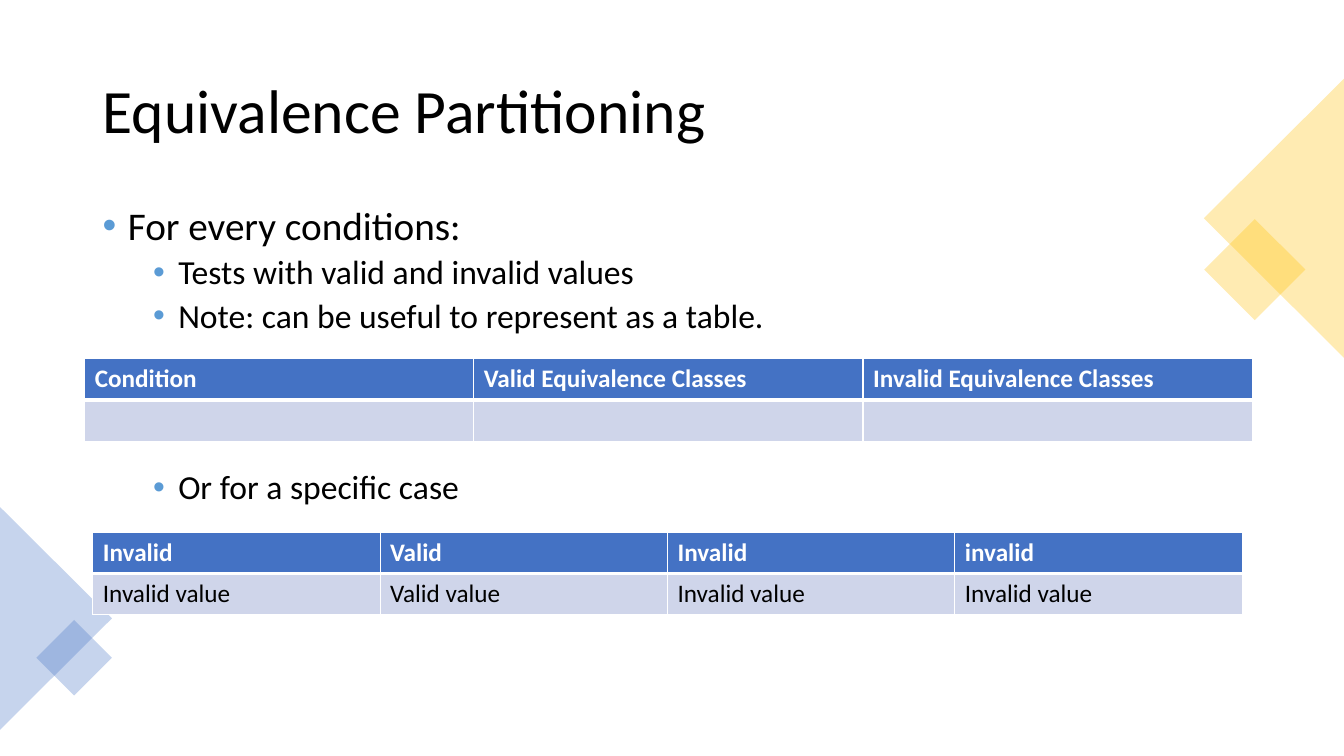
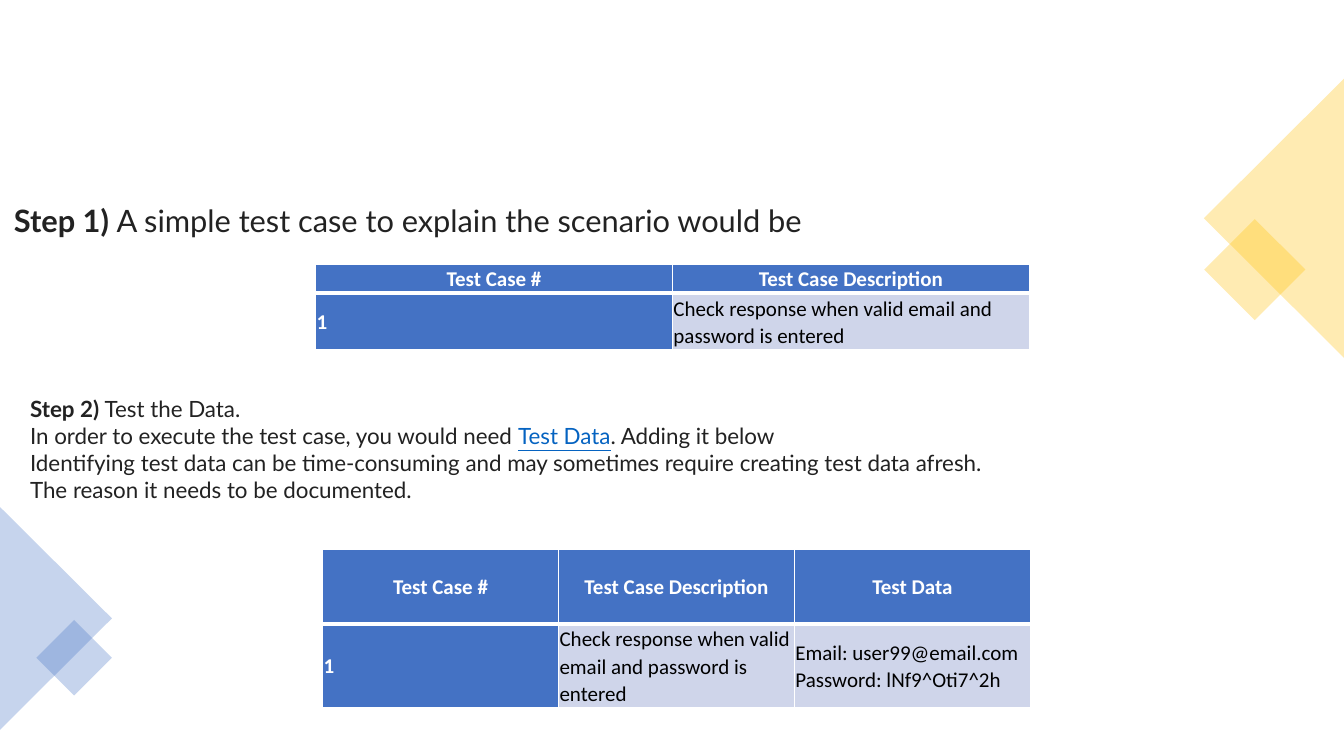
from lxml.etree import SubElement
from pptx import Presentation
from pptx.dml.color import RGBColor
from pptx.enum.shapes import MSO_SHAPE as Shape
from pptx.enum.text import MSO_ANCHOR as Anchor, PP_ALIGN as Align
from pptx.oxml import parse_xml
from pptx.oxml.ns import nsdecls, qn
from pptx.util import Emu, Pt

SCALE = 9144
BLUE, GOLD, PALE, BULLET = "4472C4", "FFC000", "CFD5EA", "5B9BD5"
BLACK, WHITE, INK, LINK = "000000", "FFFFFF", "222222", "0563C1"


def px(length):
    return Emu(length * SCALE)


def color(value):
    return RGBColor.from_string(value)


def apply(target, values):
    for name, value in values.items():
        setattr(target, name, value)


class Deck:
    TITLE = {"name": "Calibri", "size": Pt(44)}
    BULLETS = [
        {"left": 25, "before": Pt(10), "font": {"name": "Calibri", "size": Pt(28)}},
        {"left": 75, "before": Pt(5), "font": {"name": "Calibri", "size": Pt(24)}},
    ]
    DECORATIONS = [
        (Shape.RECTANGLE, (1209, 232, 71, 71), 45, GOLD),
        (Shape.ISOSCELES_TRIANGLE, (1125, 147, 277, 139), 270, GOLD),
        (Shape.ISOSCELES_TRIANGLE, (-55, 558, 221, 111), 90, BLUE),
        (Shape.RECTANGLE, (47, 626, 53, 53), 45, BLUE),
    ]

    def __init__(self):
        self.presentation = Presentation()
        apply(self.presentation, {"slide_width": px(1333), "slide_height": px(750)})
        self.slide = None

    def add_slide(self):
        self.slide = self.presentation.slides.add_slide(self.presentation.slide_layouts[6])
        for kind, frame, rotation, fill in self.DECORATIONS:
            self.decoration(kind, frame, rotation, fill)

    def decoration(self, kind, frame, rotation, fill):
        shape = self.slide.shapes.add_shape(kind, *map(px, frame))
        shape.rotation = rotation
        shape.shadow.inherit = False
        shape.line.fill.background()
        shape.fill.solid()
        shape.fill.fore_color.rgb = color(fill)
        rgb = shape.fill._xPr.find(".//" + qn("a:srgbClr"))
        SubElement(rgb, qn("a:alpha"), val="30000")

    def text_frame(self, frame, anchor=Anchor.TOP):
        text_frame = self.slide.shapes.add_textbox(*map(px, frame)).text_frame
        apply(text_frame, {"word_wrap": True, "vertical_anchor": anchor})
        return text_frame

    def paragraphs(self, text_frame, items):
        for index, item in enumerate(items):
            yield index, text_frame.add_paragraph() if index else text_frame.paragraphs[0], item

    def run(self, paragraph, text, font, fill):
        run = paragraph.add_run()
        run.text = text
        apply(run.font, font)
        run.font.color.rgb = color(fill)

    def title(self, text):
        paragraph = self.text_frame((92, 40, 1150, 145), Anchor.MIDDLE).paragraphs[0]
        paragraph.line_spacing = 0.9
        self.run(paragraph, text, self.TITLE, BLACK)

    def bullets(self, frame, items):
        for index, paragraph, (level, text) in self.paragraphs(self.text_frame(frame), items):
            style = self.BULLETS[level]
            properties = paragraph._p.get_or_add_pPr()
            properties.set("marL", str(px(style["left"])))
            properties.set("indent", str(px(-25)))
            bullet_color = SubElement(properties, qn("a:buClr"))
            SubElement(bullet_color, qn("a:srgbClr"), val=BULLET)
            SubElement(properties, qn("a:buFont"), typeface="Arial")
            SubElement(properties, qn("a:buChar"), char="•")
            before = style["before"] if index else Pt(0)
            apply(paragraph, {"level": level, "line_spacing": 0.9, "space_before": before})
            self.run(paragraph, text, style["font"], BLACK)

    def note(self, frame, size, items, anchor=Anchor.TOP):
        for _, paragraph, parts in self.paragraphs(self.text_frame(frame, anchor), items):
            for part in parts:
                if part is None:
                    paragraph.add_line_break()
                    continue
                text, kind = part
                font = {"name": "Lato", "size": Pt(size),
                        "bold": kind == "step", "underline": kind == "link"}
                self.run(paragraph, text, font, LINK if kind == "link" else INK)

    def table(self, left, top, column_width, row_heights, rows, compact=False):
        count = len(rows[0])
        frame = map(px, (left, top, column_width * count, sum(row_heights)))
        table = self.slide.shapes.add_table(len(rows), count, *frame).table
        apply(table, {"horz_banding": False, "first_col": compact})
        for column in table.columns:
            column.width = px(column_width)
        for row_index, (height, texts) in enumerate(zip(row_heights, rows)):
            table.rows[row_index].height = px(height)
            for column_index, text in enumerate(texts):
                heading = row_index == 0 or (compact and column_index == 0)
                cell = table.cell(row_index, column_index)
                self.cell(cell, text, row_index, heading, compact)

    def cell(self, cell, text, row_index, heading, compact):
        paragraph = cell.text_frame.paragraphs[0]
        if compact:
            sides = ("left", "right", "top", "bottom")
            apply(cell, {f"margin_{side}": px(1) for side in sides})
            cell.vertical_anchor = Anchor.MIDDLE
            alignment = Align.LEFT if row_index else Align.CENTER
            apply(paragraph, {"line_spacing": 1.07, "alignment": alignment})
        cell.fill.solid()
        cell.fill.fore_color.rgb = color(BLUE if heading else PALE)
        if text:
            font = {"name": "Calibri", "size": Pt(15 if compact else 18), "bold": heading}
            self.run(paragraph, text, font, WHITE if heading else BLACK)
        top, bottom = (3, 1) if row_index else (1, 3)
        properties = cell._tc.get_or_add_tcPr()
        for index, (side, width) in enumerate(zip("LRTB", (1, 1, top, bottom))):
            border = parse_xml(
                f'<a:ln{side} {nsdecls("a")} w="{Pt(width)}"><a:solidFill>'
                f'<a:srgbClr val="{WHITE}"/></a:solidFill></a:ln{side}>')
            properties.insert(index, border)


def partitioning_slide(deck):
    deck.add_slide()
    deck.title("Equivalence Partitioning")
    deck.bullets((92, 200, 1150, 140), [
        (0, "For every conditions:"),
        (1, "Tests with valid and invalid values"),
        (1, "Note: can be useful to represent as a table."),
    ])
    deck.bullets((92, 462, 1150, 50), [(1, "Or for a specific case")])
    deck.table(84, 356, 386, (41, 41), [
        ("Condition", "Valid Equivalence Classes", "Invalid Equivalence Classes"),
        ("", "", ""),
    ])
    deck.table(92, 528, 285, (41, 41), [
        ("Invalid", "Valid", "Invalid", "invalid"),
        ("Invalid value", "Valid value", "Invalid value", "Invalid value"),
    ])


def test_case_slide(deck):
    headings = ("Test Case #", "Test Case Description")
    case = ("1", "Check response when valid email and password is entered")
    deck.add_slide()
    deck.table(313, 262, 354, (29, 56), [headings, case], compact=True)
    deck.table(320, 545, 234, (74, 83), [
        headings + ("Test Data",),
        case + ("Email: user99@email.com Password: lNf9^Oti7^2h",),
    ], compact=True)
    deck.note((4, 195, 1286, 47), 22, [[
        ("Step 1) ", "step"),
        ("A simple test case to explain the scenario would be", "plain"),
    ]], Anchor.MIDDLE)
    deck.note((20, 387, 985, 118), 16, [
        [
            ("Step 2) ", "step"),
            ("Test the Data.", "plain"),
            None,
            ("In order to execute the test case, you would need ", "plain"),
            ("Test Data", "link"),
            (". Adding it below", "plain"),
        ],
        [("Identifying test data can be time-consuming and may sometimes require creating "
          "test data afresh. The reason it needs to be documented.", "plain")],
    ])


def main():
    deck = Deck()
    partitioning_slide(deck)
    test_case_slide(deck)
    deck.presentation.save("out.pptx")


if __name__ == "__main__":
    main()
